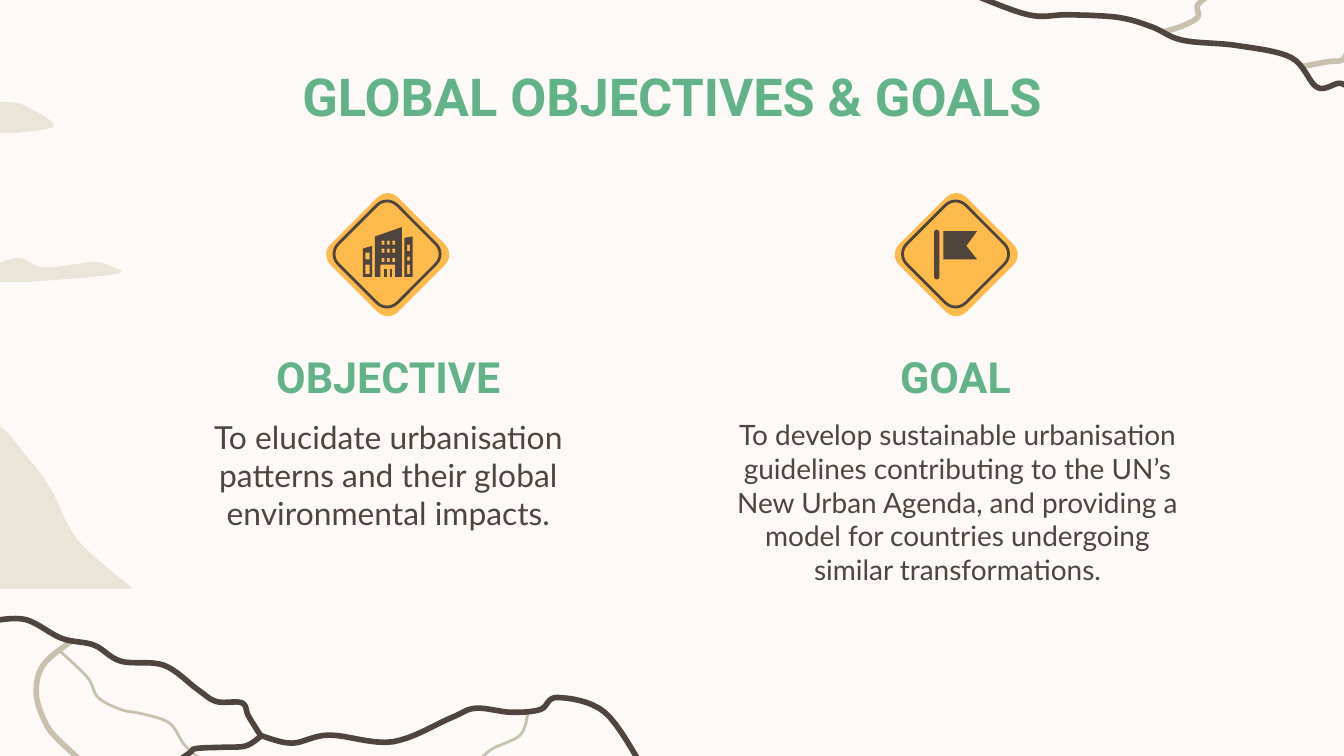
from dataclasses import dataclass
from pptx import Presentation
from pptx.dml.color import RGBColor
from pptx.enum.shapes import MSO_SHAPE
from pptx.enum.text import MSO_ANCHOR, PP_ALIGN
from pptx.util import Emu, Pt

ROUND = MSO_SHAPE.ROUNDED_RECTANGLE
TOP, MID, LOW = MSO_ANCHOR.TOP, MSO_ANCHOR.MIDDLE, MSO_ANCHOR.BOTTOM
CENTER = PP_ALIGN.CENTER
SCALE = 9144  # EMU in one px, 100 px to the inch


@dataclass(frozen=True)
class Theme:
    paper: str = "FCF9F7"
    sand: str = "EBE5D8"
    trail: str = "C9C0AD"
    ink: str = "50443F"
    green: str = "63B389"
    amber: str = "FFBA4C"
    head: str = "Roboto"
    body: str = "Lato"
    title: int = 28
    label: int = 23
    large: int = 17
    small: int = 15
    thick: float = 3
    thin: float = 1.5


# Points that a smooth curve runs through
CLOUDS = [
    [(-85, 209), (-31, 198), (-13, 200), (13, 192), (33, 199), (69, 195),
     (82, 198), (86, 204), (19, 210)],
    [(-207, 438), (-211, 318), (-135, 276), (-61, 321), (-9, 313),
     (21, 341), (39, 366), (58, 402), (99, 438)],
    [(-230, 98), (-78, 73), (-60, 80), (3, 76), (23, 81), (40, 94), (11, 99)],
]
PATHS = [
    [(393, 530), (387, 547), (365, 558), (352, 571)],
    [(43, 483), (65, 504), (73, 519), (90, 528), (105, 531), (126, 538),
     (137, 554), (148, 564)],
]
ROADS = [
    [(53, 477), (32, 495), (27, 516), (33, 536), (43, 550), (74, 578)],
    [(864, 24), (878, 20), (891, 13), (891, 4), (899, -3)],
    [(967, 50), (988, 46), (998, 45), (1002, 40)],
]
RIVERS = [
    [(-7, 462), (19, 461), (46, 475), (70, 480), (90, 492), (122, 495),
     (147, 513), (161, 522), (180, 523), (185, 533), (195, 549)],
    [(193, 547), (217, 553), (245, 547), (292, 552), (336, 534), (354, 527),
     (380, 530), (402, 528), (415, 519), (450, 530), (479, 572)],
    [(194, 548), (183, 555), (167, 556), (146, 557), (140, 561), (117, 577)],
    [(719, -6), (765, 11), (795, 11), (832, 13), (857, 20), (880, 30),
     (921, 34), (961, 43), (980, 65), (997, 62), (1007, 68)],
]


def pane(left, top, right, low):
    return [(right, top), (right, low), (left, low), (left, top)]


def smooth(dots, count=8):
    """Run a Catmull-Rom curve through the points."""
    ends = [dots[0], *dots, dots[-1]]
    curve = [dots[0]]
    for a, b, c, d in zip(ends, ends[1:], ends[2:], ends[3:]):
        for i in range(1, count + 1):
            t = i / count
            curve.append(tuple(
                q + t * (r - p + t * (2 * p - 5 * q + 4 * r - s
                                      + t * (3 * q - p - 3 * r + s))) / 2
                for p, q, r, s in zip(a, b, c, d)))
    return curve


class Page:
    def __init__(self, deck, theme):
        self.theme = theme
        self.slide = deck.slides.add_slide(deck.slide_layouts[6])
        back = self.slide.background.fill
        back.solid()
        back.fore_color.rgb = RGBColor.from_string(theme.paper)

    def paint(self, shape, fill=None, line=None, weight=0):
        shape.shadow.inherit = False
        for part, color in ((shape.fill, fill), (shape.line.fill, line)):
            if color:
                part.solid()
                part.fore_color.rgb = RGBColor.from_string(color)
            else:
                part.background()
        if line:
            shape.line.width = Pt(weight)

    def draw(self, *rings, **look):
        """Draw outlines as one shape, closed when it has a fill."""
        pen = None
        for ring in rings:
            dots = [(x * SCALE, y * SCALE) for x, y in ring]
            if pen:
                pen.move_to(*dots[0])
            else:
                pen = self.slide.shapes.build_freeform(*dots[0], scale=1.0)
            pen.add_line_segments(dots[1:], close="fill" in look)
        self.paint(pen.convert_to_shape(), **look)

    def tile(self, box, bend, turn=0, **look):
        shape = self.slide.shapes.add_shape(ROUND, *(Emu(n * SCALE) for n in box))
        shape.adjustments[0] = bend
        shape.rotation = turn
        self.paint(shape, **look)

    def sign(self, left, top):
        self.tile((left, top, 71, 71), 0.15, 45, fill=self.theme.amber)
        self.tile((left + 4, top + 4, 62, 62), 0.17, 45, line=self.theme.ink,
                  weight=self.theme.thin)

    def text(self, words, *, box, font, size, color, bold=False, anchor=TOP):
        frame = self.slide.shapes.add_textbox(*(Emu(n * SCALE) for n in box)).text_frame
        frame.word_wrap = True
        frame.vertical_anchor = anchor
        frame.margin_left = frame.margin_right = Emu(10 * SCALE)
        frame.margin_top = frame.margin_bottom = Emu(10 * SCALE)
        para = frame.paragraphs[0]
        para.alignment = CENTER
        run = para.add_run()
        run.text = words
        run.font.name, run.font.size, run.font.bold = font, Pt(size), bold
        run.font.color.rgb = RGBColor.from_string(color)


def main():
    theme = Theme()
    deck = Presentation()
    deck.slide_width = Emu(1000 * SCALE)
    deck.slide_height = Emu(1000 * SCALE * 9 // 16)
    page = Page(deck, theme)

    # Map backdrop
    for cloud in CLOUDS:
        page.draw(smooth(cloud), fill=theme.sand)
    for group, color, weight in ((PATHS, theme.trail, theme.thin),
                                 (ROADS, theme.trail, theme.thick),
                                 (RIVERS, theme.ink, theme.thick)):
        for line in group:
            page.draw(smooth(line), line=color, weight=weight)

    # Title and the two columns
    head = dict(font=theme.head, color=theme.green, bold=True)
    page.text("GLOBAL OBJECTIVES & GOALS", box=(83, 40, 834, 63),
              size=theme.title, anchor=MID, **head)
    columns = (
        ("OBJECTIVE", 145, 253, (145, 301, 288, 155), theme.large,
         "To elucidate urbanisation patterns and their global environmental impacts."),
        ("GOAL", 567, 676, (532, 301, 361, 155), theme.small,
         "To develop sustainable urbanisation guidelines contributing to the UN’s "
         "New Urban Agenda, and providing a model for countries undergoing "
         "similar transformations."),
    )
    for name, left, mark, box, size, words in columns:
        page.text(words, box=box, font=theme.body, size=size, color=theme.ink)
        page.text(name, box=(left, 251, 288, 58), size=theme.label, anchor=LOW, **head)
        page.sign(mark, 154)

    # Flag icon
    page.tile((695, 171, 4, 37), 0.5, fill=theme.ink)
    page.draw([(702, 172), (702, 193), (727, 193), (719, 183), (727, 172)],
              fill=theme.ink)

    # City icon: side blocks, tower with a grid of windows, doors
    for left, right, peak, slope, rows in (
            (270, 277, 183, 2, ((188, 193), (197, 204))),
            (301, 307, 176, 1, ((182, 187), (191, 194), (197, 204)))):
        page.draw([(right, peak), (left, peak + slope), (left, 206), (right, 206)],
                  *(pane(left + 2, top, right - 2, low) for top, low in rows),
                  fill=theme.ink)
    grid = [pane(left, top, left + 2, top + 3)
            for left in (284, 288, 292) for top in (179, 185, 192)]
    page.draw([(299, 169), (279, 176), (279, 206), (283, 206), (283, 197),
               (294, 197), (294, 206), (299, 206)], *grid, fill=theme.ink)
    for left in (286, 290):
        page.draw(pane(left, 200, left + 2, 206), fill=theme.ink)

    deck.save("out.pptx")


if __name__ == "__main__":
    main()
